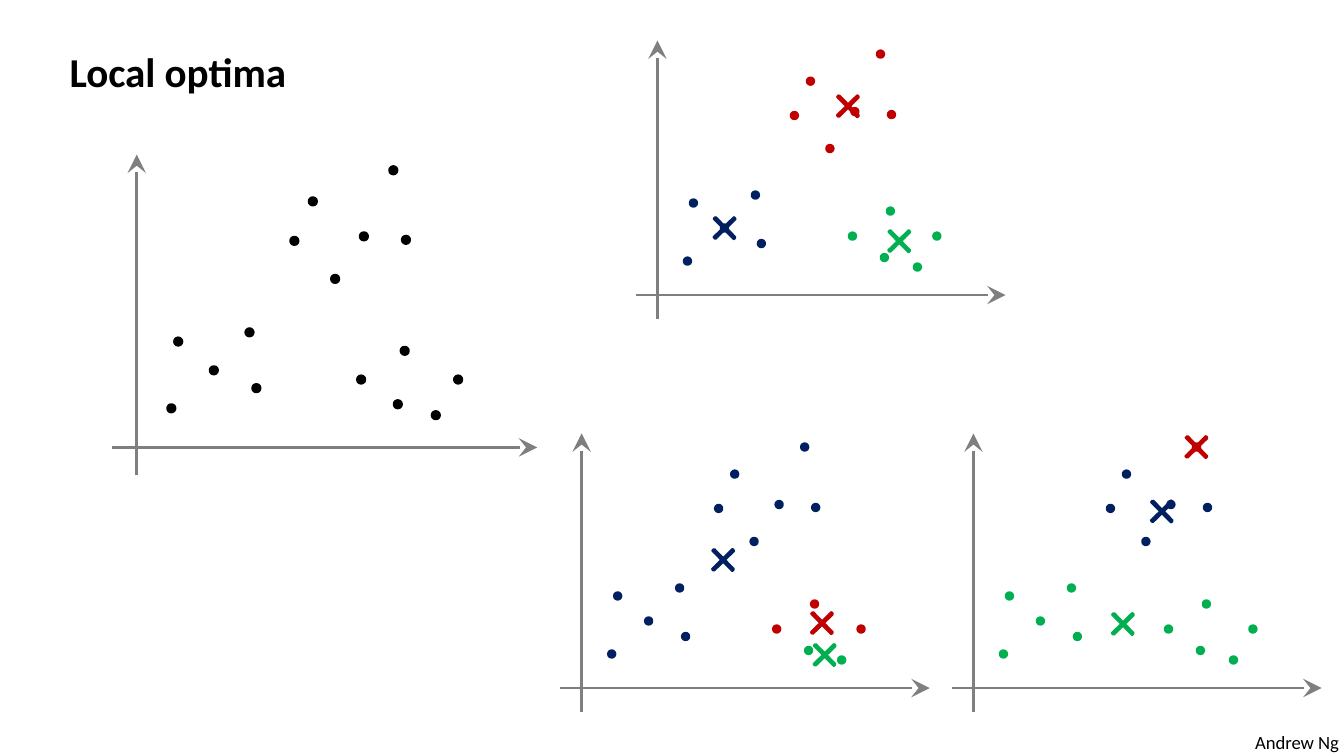
from dataclasses import dataclass, field

import lxml.etree
import pptx
import pptx.dml.color
import pptx.enum.shapes
import pptx.oxml.ns
import pptx.util

Pt = pptx.util.Pt
SHAPE = pptx.enum.shapes.MSO_SHAPE


@dataclass
class Theme:
    """Hold the colours, font and sizes of the slide."""
    font: str = "Calibri"
    title: float = 22
    small: float = 10
    dot: float = 3
    ring: float = 2
    cross: float = 15
    line: float = 1.5
    axis: str = "7F7F7F"
    inks: dict = field(default_factory=lambda: {
        "k": "000000", "r": "C00000", "g": "00B050", "b": "002060"})


THEME = Theme()

# Offsets in points, right of and above the crossing of the axes.
POINTS = [
    (16.1, 18.2), (35.9, 35.9), (52.5, 53.6), (55.7, 27.6),
    (19.3, 49.3), (73.4, 96.2), (105.8, 98.3), (119.5, 129.1),
    (82, 114.6), (125.4, 96.7), (92.4, 78.5), (149.7, 31.6),
    (124.8, 45), (139.3, 15), (121.6, 20.1), (104.5, 31.6),
]

# Origin, scale, one colour key per point, centre of each cluster.
PLOTS = [
    ((73.3, 239.7), 1.15, "k" * 16, {}),
    ((352.2, 158.1), 1, "bbbbbrrrrrrggggg",
     {"r": (102.1, 101.2), "g": (129.6, 28.9), "b": (36, 35.9)}),
    ((311.6, 368.6), 1, "bbbbbbbbbbbrrggr",
     {"r": (128.8, 34.8), "g": (130.2, 17.7), "b": (75.8, 68.6)}),
    ((521.5, 368.6), 1, "gggggbbrbbbggggg",
     {"r": (119.5, 129.1), "g": (80.1, 34.3), "b": (101, 94.6)}),
]


def rgb(code):
    """Return a colour object for a hex code."""
    return pptx.dml.color.RGBColor.from_string(code)


def add_text(slide, text, box, size, bold=False):
    """Add one line of text in a box."""
    shape = slide.shapes.add_textbox(*map(Pt, box))
    frame = shape.text_frame
    frame.text = text
    font = frame.paragraphs[0].runs[0].font
    font.name, font.size, font.bold = THEME.font, Pt(size), bold
    font.color.rgb = rgb(THEME.inks["k"])


def add_mark(group, kind, spot, size, width, ink):
    """Add a filled shape centred on a spot."""
    x, y = spot
    mark = group.shapes.add_shape(
        kind, Pt(x - size / 2), Pt(y - size / 2), Pt(size), Pt(size))
    mark.shadow.inherit = False
    mark.fill.solid()
    mark.fill.fore_color.rgb = rgb(ink)
    mark.line.color.rgb = rgb(ink)
    mark.line.width = Pt(width)
    return mark


def add_cross(group, spot, ink):
    """Add a turned plus that marks a cluster centre."""
    mark = add_mark(group, SHAPE.CROSS, spot, THEME.cross, THEME.line, ink)
    mark.adjustments[0] = 0.466
    mark.rotation = 45.6


def add_axis(group, start, end):
    """Add an axis with a stealth arrowhead at its end."""
    axis = group.shapes.add_connector(
        pptx.enum.shapes.MSO_CONNECTOR.STRAIGHT, *map(Pt, start + end))
    axis.line.color.rgb = rgb(THEME.axis)
    axis.line.width = Pt(THEME.line)
    qn = pptx.oxml.ns.qn
    tail = lxml.etree.SubElement(axis.line._get_or_add_ln(), qn("a:tailEnd"))
    tail.set("type", "stealth")
    tail.set("w", "lg")
    tail.set("len", "lg")
    lxml.etree.SubElement(axis._element.spPr, qn("a:effectLst"))


def add_plot(slide, origin, scale, keys, centres):
    """Add a scatter plot with its axes, points and cluster centres."""
    group = slide.shapes.add_group_shape()

    def place(x, y):
        """Turn plot offsets into a slide position."""
        return origin[0] + x * scale, origin[1] - y * scale

    for key, spot in centres.items():
        add_cross(group, place(*spot), THEME.inks[key])
    add_axis(group, place(0, -12.7), place(0, 136.4))
    add_axis(group, place(-11.5, 0), place(186.5, 0))
    for key, spot in zip(keys, POINTS):
        add_mark(group, SHAPE.OVAL, place(*spot), THEME.dot * scale,
                 THEME.ring, THEME.inks[key])


def main():
    """Build and save the slide."""
    deck = pptx.Presentation()
    deck.slide_width, deck.slide_height = Pt(720), Pt(405)
    slide = deck.slides.add_slide(deck.slide_layouts[6])
    add_text(slide, "Andrew Ng", (665.3, 388, 60.5, 19.4), THEME.small)
    add_text(slide, "Local optima", (30.2, 21.6, 653.8, 33.8),
             THEME.title, bold=True)
    for plot in PLOTS:
        add_plot(slide, *plot)
    deck.save("out.pptx")


if __name__ == "__main__":
    main()
